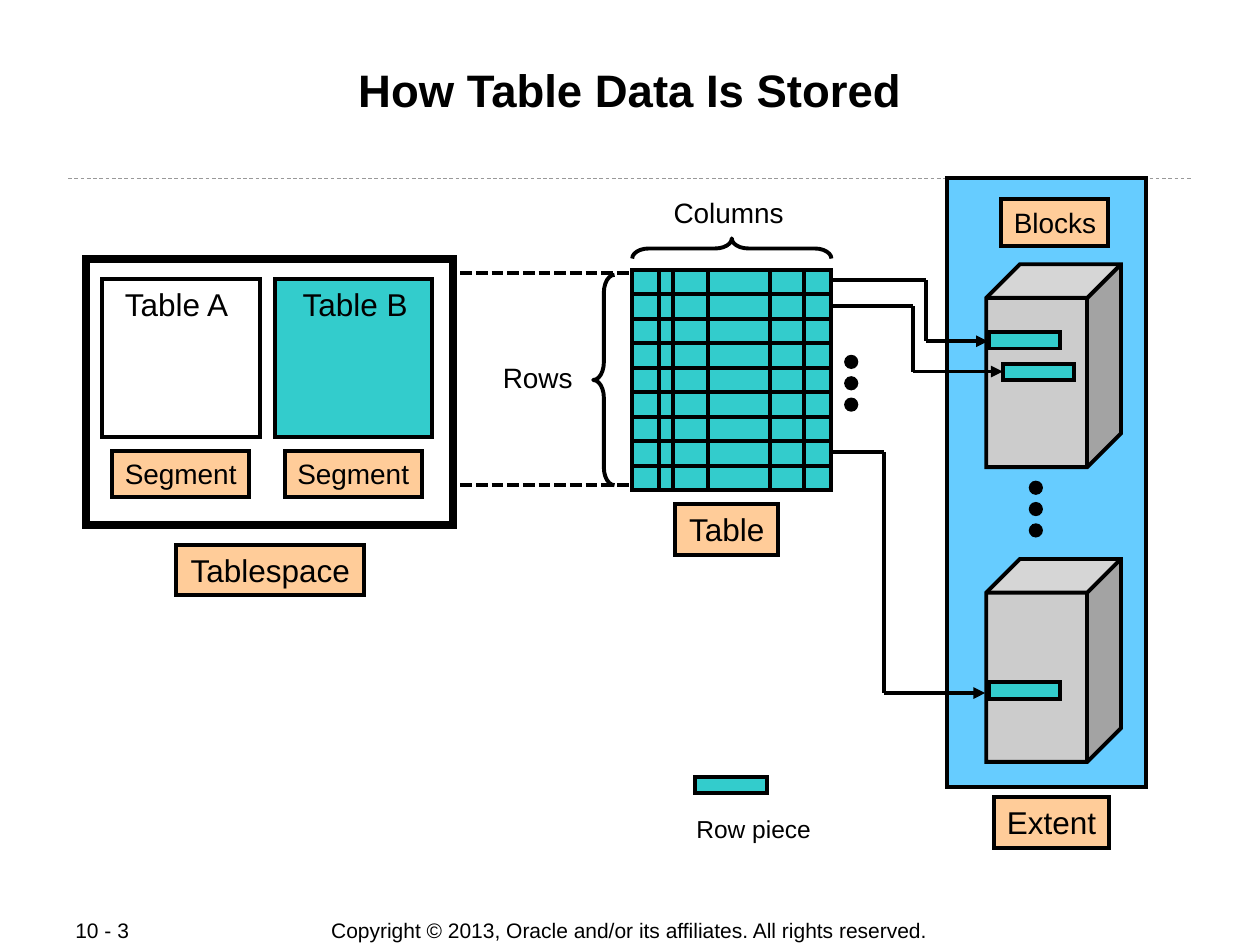
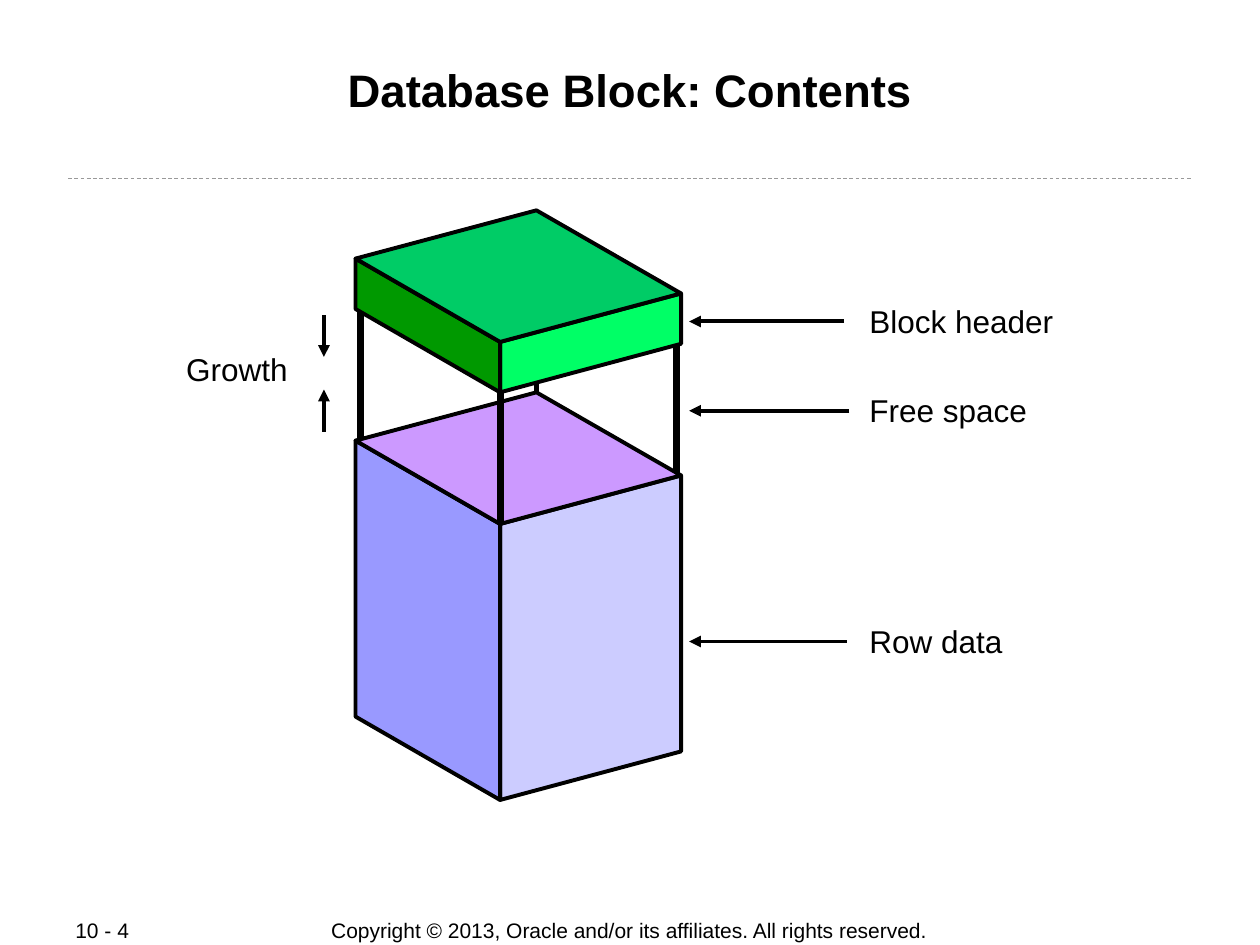
from lxml import etree
from pptx import Presentation
from pptx.dml.color import RGBColor
from pptx.enum.dml import MSO_LINE
from pptx.enum.shapes import MSO_CONNECTOR, MSO_SHAPE
from pptx.enum.text import MSO_ANCHOR, MSO_AUTO_SIZE, PP_ALIGN
from pptx.oxml.ns import qn
from pptx.util import Pt

RECT, CUBE = MSO_SHAPE.RECTANGLE, MSO_SHAPE.CUBE
OVAL, BRACE = MSO_SHAPE.OVAL, MSO_SHAPE.LEFT_BRACE
STRAIGHT = MSO_CONNECTOR.STRAIGHT
DASH, SHORT_DASH = MSO_LINE.DASH, MSO_LINE.SQUARE_DOT
TOP, MIDDLE = MSO_ANCHOR.TOP, MSO_ANCHOR.MIDDLE
LEFT, CENTER, JUSTIFY = PP_ALIGN.LEFT, PP_ALIGN.CENTER, PP_ALIGN.JUSTIFY

BLACK = RGBColor(0, 0, 0)
GREY = RGBColor(0x99, 0x99, 0x99)
PEACH = RGBColor(0xFF, 0xCC, 0x99)
TEAL = RGBColor(0x33, 0xCC, 0xCC)
SKY = RGBColor(0x66, 0xCC, 0xFF)
SILVER = RGBColor(0xCC, 0xCC, 0xCC)
# Prism faces: top, left, right
HEADER_COLORS = (RGBColor(0, 0xCC, 0x66), RGBColor(0, 0x99, 0),
                 RGBColor(0, 0xFF, 0x66))
DATA_COLORS = (RGBColor(0xCC, 0x99, 0xFF), RGBColor(0x99, 0x99, 0xFF),
               RGBColor(0xCC, 0xCC, 0xFF))

FONT = "Arial"
LINE_W = 2.25
PIECE_W, PIECE_H = 41, 9.4
COPYRIGHT = "Copyright © 2013, Oracle and/or its affiliates. All rights reserved."


# Basic parts
def write(sp, text, size, align=CENTER, anchor=TOP, bold=False, wrap=False,
          pad=(7.2, 3.6)):
    tf = sp.text_frame
    tf.auto_size = MSO_AUTO_SIZE.NONE
    tf.word_wrap = wrap
    tf.vertical_anchor = anchor
    tf.margin_left = tf.margin_right = Pt(pad[0])
    tf.margin_top = tf.margin_bottom = Pt(pad[1])
    p = tf.paragraphs[0]
    p.alignment = align
    p.space_before = Pt(0)
    r = p.add_run()
    r.text = text
    r.font.name = FONT
    r.font.size = Pt(size)
    r.font.bold = bold
    r.font.color.rgb = BLACK


def add_text(slide, text, x, y, w, h, size, **style):
    sp = slide.shapes.add_textbox(Pt(x), Pt(y), Pt(w), Pt(h))
    write(sp, text, size, **style)


def paint(sp, fill, width=LINE_W):
    sp.shadow.inherit = False
    if fill is None:
        sp.fill.background()
    else:
        sp.fill.solid()
        sp.fill.fore_color.rgb = fill
    sp.line.color.rgb = BLACK
    sp.line.width = Pt(width)


def add_box(slide, kind, x, y, w, h, fill=None, width=LINE_W):
    sp = slide.shapes.add_shape(kind, Pt(x), Pt(y), Pt(w), Pt(h))
    paint(sp, fill, width)
    if kind != BRACE:
        ln = sp.line._get_or_add_ln()
        etree.SubElement(ln, qn("a:miter"), lim="800000")
    return sp


def add_tag(slide, text, x, y, w, h, size):
    write(add_box(slide, RECT, x, y, w, h, PEACH), text, size)


def add_line(slide, start, end, width=LINE_W, color=BLACK, dash=None,
             arrow=False):
    cx = slide.shapes.add_connector(STRAIGHT, *(Pt(v) for v in (*start, *end)))
    cx.line.color.rgb = color
    cx.line.width = Pt(width)
    if dash:
        cx.line.dash_style = dash
    if arrow:
        ln = cx.line._get_or_add_ln()
        etree.SubElement(ln, qn("a:tailEnd"), type="triangle")
    etree.SubElement(cx._element.spPr, qn("a:effectLst"))


def add_face(slide, points, fill):
    corners = [(Pt(x), Pt(y)) for x, y in points]
    builder = slide.shapes.build_freeform(*corners[0])
    builder.add_line_segments(corners[1:], close=True)
    paint(builder.convert_to_shape(), fill)


def add_brace(slide, x, y, w, h, rotation=0):
    sp = add_box(slide, BRACE, x, y, w, h)
    sp.adjustments[0] = 0.83
    sp.rotation = rotation


def add_dots(slide, x, y):
    for i in range(3):
        add_box(slide, OVAL, x, y + 12.2 * i, 5.8, 5.8, BLACK)


def add_row_piece(slide, x, y):
    add_box(slide, RECT, x, y, PIECE_W, PIECE_H, TEAL)


# Frame shared by the slides
def new_slide(prs, title, page):
    slide = prs.slides.add_slide(prs.slide_layouts[5])
    sp = slide.shapes.title
    sp.left, sp.top, sp.width, sp.height = Pt(48), Pt(34.5), Pt(624), Pt(69)
    write(sp, title, 26, bold=True, wrap=True, pad=(0.7, 0.7))
    add_line(slide, (39, 102.2), (681, 102.2), 0.5, GREY, DASH)
    add_text(slide, COPYRIGHT, 198, 524.2, 323.3, 15, 12, anchor=MIDDLE)
    add_text(slide, page, 36, 524.2, 76.3, 14.6, 12, align=JUSTIFY,
             anchor=MIDDLE)
    return slide


# Slide 1 regions
def draw_tablespace(slide, x, y, w, h):
    add_box(slide, RECT, x, y, w, h, width=4.5)
    tables = (("Table A", 9.4, None, 4.3), ("Table B", 108, TEAL, 7.9))
    for name, dx, fill, label_dx in tables:
        left = x + dx
        add_box(slide, RECT, left, y + 11.5, 90, 90, fill)
        add_text(slide, name, left + label_dx, y + 11.5, 76.3, 28.8, 18)
        add_tag(slide, "Segment", left + 5.6, y + 109.5, 78.5, 26.6, 16)
    add_tag(slide, "Tablespace", x + 51.8, y + 163.5, 107.3, 28.8, 18)


def draw_table(slide, x, y, w, h, rows=9):
    add_box(slide, RECT, x, y, w, h, TEAL)
    for i in range(1, rows):
        row_y = y + h * i / rows
        add_line(slide, (x, row_y), (x + w, row_y))
    for dx in (15.4, 23.3, 43.2, 78.5, 98):
        add_line(slide, (x + dx, y), (x + dx, y + h))
    # Braces and labels
    add_brace(slide, x - 22.3, y + 2.9, 12.2, 120.2)
    add_brace(slide, x + 51.1, y - 69.1, 11.5, 113.8, 90)
    add_text(slide, "Rows", x - 90, y + 48.2, 72, 26.6, 16, wrap=True)
    add_text(slide, "Columns", x + 16.6, y - 46, 77, 26.6, 16)
    add_tag(slide, "Table", x + 24.5, y + 134, 59, 28.8, 18)
    add_dots(slide, x + w + 8.4, y + 49.7)


def draw_extent(slide, x, y, w, h):
    add_box(slide, RECT, x, y, w, h, SKY)
    add_tag(slide, "Blocks", x + 31, y + 11.8, 61.2, 26.6, 16)
    for dy in (49, 217.4):
        cube = add_box(slide, CUBE, x + 22.4, y + dy, 77, 115.9, SILVER)
        cube.adjustments[0] = 0.25
    for dx, dy in ((23.8, 87.8), (31.7, 105.8), (23.8, 288)):
        add_row_piece(slide, x + dx, y + dy)
    add_dots(slide, x + 47.8, y + 173.8)
    add_tag(slide, "Extent", x + 26.9, y + 353.6, 65.5, 28.8, 18)


def draw_routes(slide, start_x):
    # From a table row to its row piece: row y, bend x, piece x, piece y
    for row_y, bend_x, end_x, end_y in ((160, 529.2, 564.5, 195),
                                        (175, 521.5, 573, 212.3),
                                        (258.5, 505.4, 563, 396)):
        stops = [(start_x, row_y), (bend_x, row_y), (bend_x, end_y),
                 (end_x, end_y)]
        for i in range(3):
            add_line(slide, stops[i], stops[i + 1], arrow=i == 2)


def draw_legend(slide, x, y):
    add_row_piece(slide, x, y)
    add_text(slide, "Row piece", x - 6.5, y + 18, 80, 24.5, 14)


def build_storage_slide(prs):
    slide = new_slide(prs, "How Table Data Is Stored", "10 - 3")
    draw_extent(slide, 541.2, 102, 113.8, 347.8)
    draw_tablespace(slide, 49, 148, 210, 152)
    draw_table(slide, 361.3, 154.2, 113.8, 126)
    draw_routes(slide, 475.2)
    for y in (156, 277):
        add_line(slide, (263, y), (359.5, y), dash=SHORT_DASH)
    draw_legend(slide, 397.2, 443.9)


# Slide 2 regions
def draw_prism(slide, x, y, h, colors):
    top, left, right = colors
    a, b = (x, y + 27.6), (x + 103.4, y)
    c, d = (x + 186, y + 47.5), (x + 82.6, y + 75.2)

    def down(point):
        return point[0], point[1] + h

    add_face(slide, (c, down(c), down(d), d), right)
    add_face(slide, (a, down(a), down(d), d), left)
    add_face(slide, (a, b, c, d), top)


def draw_block(slide, x, y):
    def post(dx, y1, y2, width=4):
        add_line(slide, (x + dx, y + y1), (x + dx, y + y2), width)

    post(2.8, 55, 132)
    post(183.5, 76.5, 150.5)
    draw_prism(slide, x, y + 104, 157.7, DATA_COLORS)
    post(82.8, 102.5, 178.8)
    post(103.4, 50.5, 105.2, 3)
    draw_prism(slide, x, y, 28.8, HEADER_COLORS)


def draw_callouts(slide, x):
    for text, y, w, arrow_dx in (("Block header", 183.7, 131.8, -8),
                                 ("Free space", 234.7, 121, -5),
                                 ("Row data", 366.6, 100, -6.3)):
        add_line(slide, (x + arrow_dx, y), (x - 96.5, y), arrow=True)
        add_text(slide, text, x, y - 14.8, w, 28, 18, align=LEFT, wrap=True,
                 pad=(6.5, 3.6))


def draw_growth(slide, x, y):
    add_text(slide, "Growth", x, y, 72, 28.8, 18)
    arrow_x = x + 85.7
    for start_y, end_y in ((-16.6, 7.4), (50, 26)):
        add_line(slide, (arrow_x, y + start_y), (arrow_x, y + end_y),
                 arrow=True)


def build_block_slide(prs):
    slide = new_slide(prs, "Database Block: Contents", "10 - 4")
    draw_block(slide, 203.2, 120.2)
    draw_callouts(slide, 490.3)
    draw_growth(slide, 99.4, 196.6)


def main():
    prs = Presentation()
    prs.slide_width, prs.slide_height = Pt(720), Pt(540)
    build_storage_slide(prs)
    build_block_slide(prs)
    prs.save("out.pptx")


if __name__ == "__main__":
    main()
